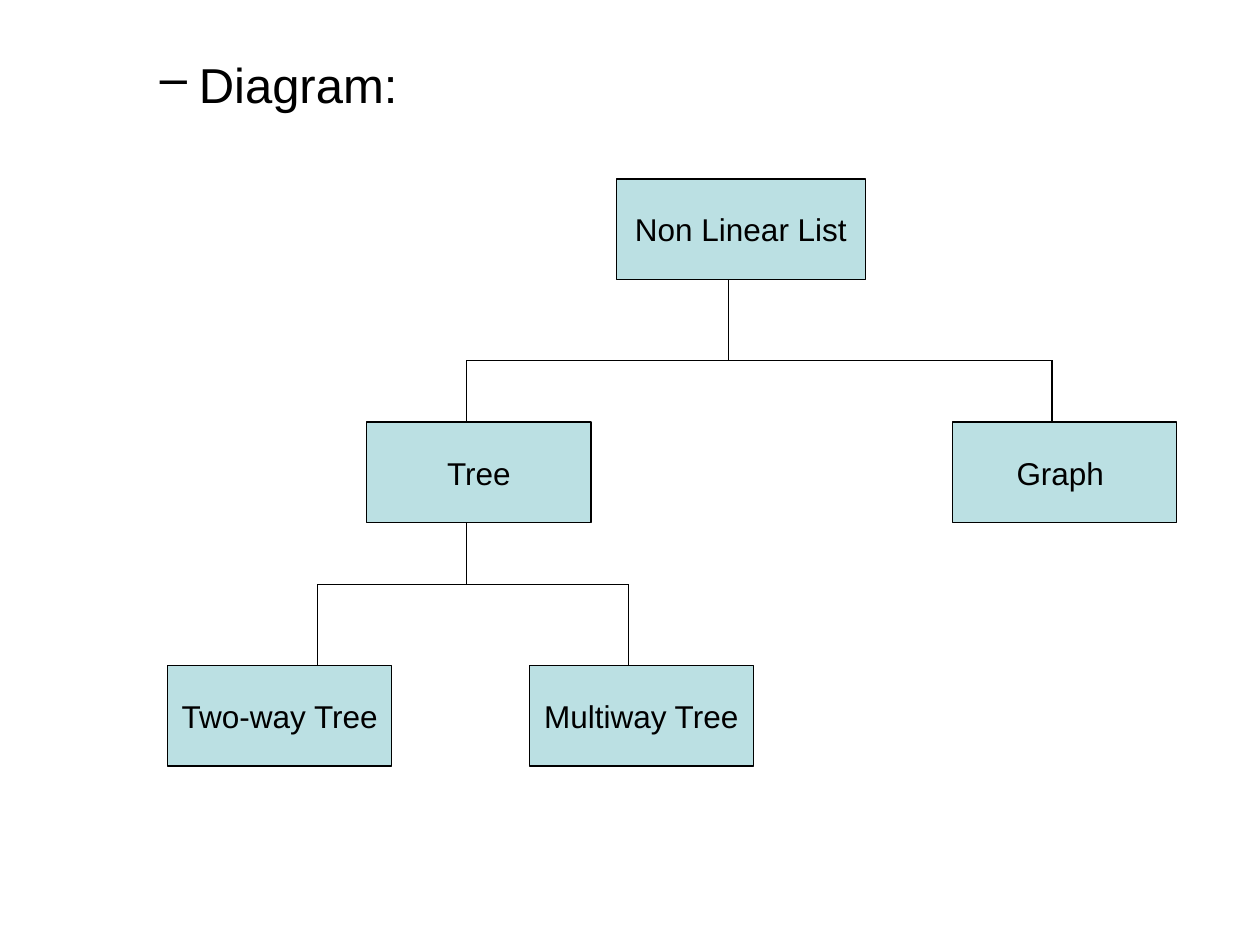
from dataclasses import dataclass

from lxml import etree
from pptx import Presentation
from pptx.dml.color import RGBColor
from pptx.enum.shapes import MSO_CONNECTOR, MSO_SHAPE
from pptx.enum.text import MSO_ANCHOR, PP_ALIGN
from pptx.oxml.ns import qn
from pptx.util import Inches, Pt

RECTANGLE = MSO_SHAPE.RECTANGLE
STRAIGHT = MSO_CONNECTOR.STRAIGHT
CENTER = PP_ALIGN.CENTER
TOP, MIDDLE = MSO_ANCHOR.TOP, MSO_ANCHOR.MIDDLE


@dataclass(frozen=True)
class Theme:
    font: str = "Arial"
    ink: RGBColor = RGBColor(0, 0, 0)
    node_fill: RGBColor = RGBColor(0xBB, 0xE0, 0xE3)
    heading_size: int = 28
    node_size: int = 18
    line_width: float = 0.75


THEME = Theme()
NODE_WIDTH, NODE_HEIGHT = 1.78, 0.8
ROOT_WIDTH = 1.98
ROOT_TOP, BRANCH_TOP, LEAF_TOP = 1.42, 3.35, 5.28

# Label, left, top, width
NODES = [
    ("Non Linear List", 4.89, ROOT_TOP, ROOT_WIDTH),
    ("Tree", 2.91, BRANCH_TOP, NODE_WIDTH),
    ("Graph ", 7.56, BRANCH_TOP, NODE_WIDTH),
    ("Two-way Tree", 1.33, LEAF_TOP, NODE_WIDTH),
    ("Multiway Tree", 4.2, LEAF_TOP, NODE_WIDTH),
]

# Stem x, parent top, crossbar y, children's top, children's x
FORKS = [
    (5.78, ROOT_TOP, 2.86, BRANCH_TOP, (3.7, 8.35)),
    (3.7, BRANCH_TOP, 4.64, LEAF_TOP, (2.52, 4.99)),
]


def add_run(paragraph, text, size):
    run = paragraph.add_run()
    run.text = text
    run.font.name = THEME.font
    run.font.size = Pt(size)
    run.font.color.rgb = THEME.ink


def add_heading(slide, text):
    box = slide.shapes.add_textbox(Inches(0.67), Inches(0.38), Inches(9.17), Inches(0.6))
    frame = box.text_frame
    frame.word_wrap = True
    frame.vertical_anchor = TOP
    paragraph = frame.paragraphs[0]
    # Dash bullet with a hanging indent
    properties = paragraph._p.get_or_add_pPr()
    properties.set("marL", str(Inches(0.81)))
    properties.set("indent", str(Inches(-0.31)))
    etree.SubElement(properties, qn("a:buChar")).set("char", "–")
    add_run(paragraph, text, THEME.heading_size)


def add_node(slide, label, left, top, width):
    shape = slide.shapes.add_shape(
        RECTANGLE, Inches(left), Inches(top), Inches(width), Inches(NODE_HEIGHT))
    shape.shadow.inherit = False
    shape.fill.solid()
    shape.fill.fore_color.rgb = THEME.node_fill
    shape.line.color.rgb = THEME.ink
    shape.line.width = Pt(THEME.line_width)
    frame = shape.text_frame
    frame.word_wrap = False
    frame.vertical_anchor = MIDDLE
    paragraph = frame.paragraphs[0]
    paragraph.alignment = CENTER
    add_run(paragraph, label, THEME.node_size)


def add_line(slide, start_x, start_y, end_x, end_y):
    connector = slide.shapes.add_connector(
        STRAIGHT, Inches(start_x), Inches(start_y), Inches(end_x), Inches(end_y))
    connector.line.color.rgb = THEME.ink
    connector.line.width = Pt(THEME.line_width)
    etree.SubElement(connector._element.spPr, qn("a:effectLst"))


def add_fork(slide, stem_x, parent_top, bar_y, child_top, child_xs):
    add_line(slide, stem_x, parent_top + NODE_HEIGHT, stem_x, bar_y)
    add_line(slide, min(child_xs), bar_y, max(child_xs), bar_y)
    for child_x in child_xs:
        add_line(slide, child_x, bar_y, child_x, child_top)


def main():
    presentation = Presentation()
    presentation.slide_width = Inches(10)
    presentation.slide_height = Inches(7.5)
    slide = presentation.slides.add_slide(presentation.slide_layouts[6])

    # Heading
    add_heading(slide, "Diagram:")

    # Tree diagram
    for node in NODES:
        add_node(slide, *node)
    for fork in FORKS:
        add_fork(slide, *fork)

    presentation.save("out.pptx")


if __name__ == "__main__":
    main()
